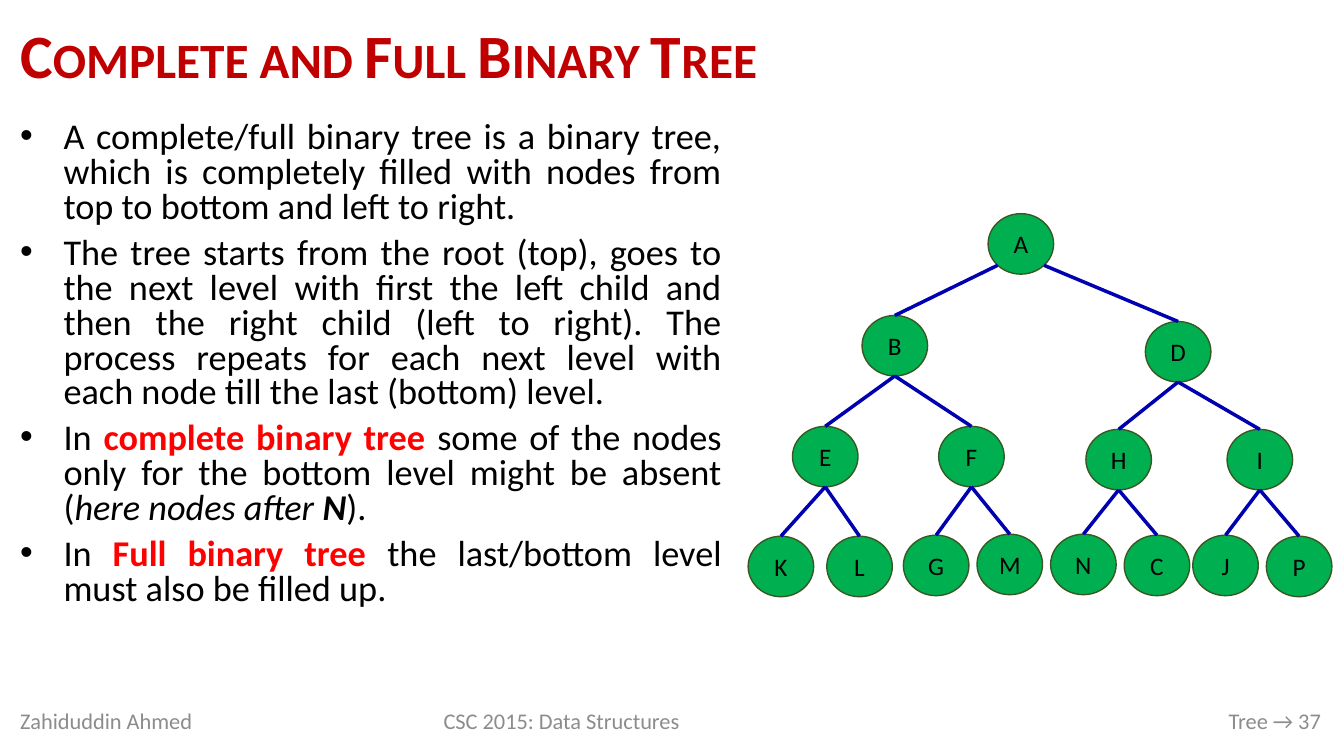
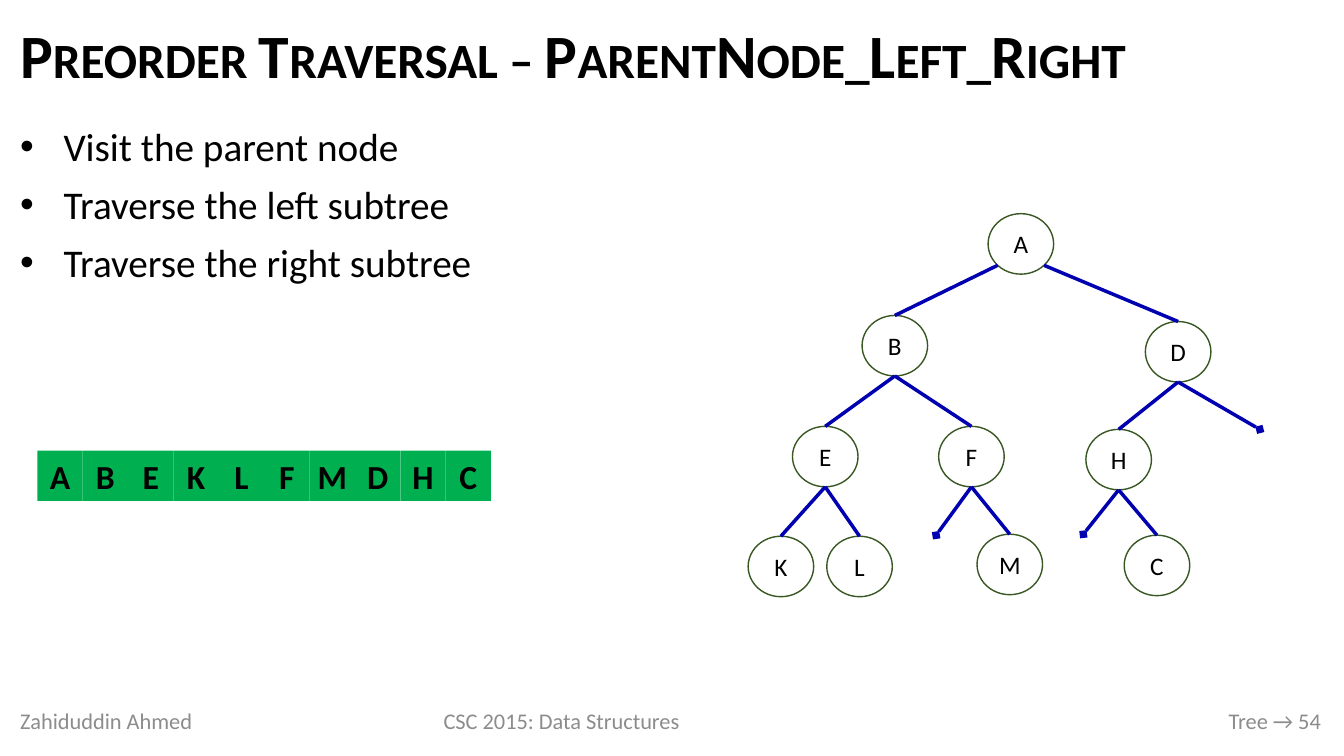
from math import sqrt

from lxml.etree import SubElement
from pptx import Presentation
from pptx.dml.color import RGBColor
from pptx.enum.shapes import MSO_CONNECTOR as Connector, MSO_SHAPE as Shape
from pptx.enum.text import MSO_ANCHOR as Anchor, MSO_AUTO_SIZE as AutoSize, PP_ALIGN as Align
from pptx.oxml.ns import qn
from pptx.util import Inches, Pt

BLACK = RGBColor(0x00, 0x00, 0x00)
CRIMSON = RGBColor(0xC0, 0x00, 0x00)
RED = RGBColor(0xFF, 0x00, 0x00)
GREEN = RGBColor(0x00, 0xB0, 0x50)
DARK_GREEN = RGBColor(0x38, 0x57, 0x23)
NAVY = RGBColor(0x00, 0x00, 0xB0)
GRAY = RGBColor(0x8C, 0x8C, 0x8C)

FONT = "Calibri"
NODE_W, NODE_H = 0.65, 0.6
CELL_W, CELL_H = 0.45, 0.5

NODES = {
    "A": (9.8, 2.12),
    "B": (8.55, 3.13), "D": (11.36, 3.19),
    "E": (7.86, 4.23), "F": (9.31, 4.23), "H": (10.77, 4.26), "I": (12.17, 4.26),
    "K": (7.42, 5.32), "L": (8.2, 5.32), "G": (8.96, 5.31), "M": (9.69, 5.3),
    "N": (10.42, 5.3), "C": (11.15, 5.31), "J": (11.83, 5.31), "P": (12.56, 5.32),
}
CHILDREN = {"A": "BD", "B": "EF", "D": "HI", "E": "KL", "F": "GM", "H": "NC", "I": "JP"}

KEY_TERM = {"color": RED, "bold": True}
COMPLETE_POINTS = [
    [("A complete/full binary tree is a binary tree, which is completely filled "
      "with nodes from top to bottom and left to right.", {})],
    [("The tree starts from the root (top), goes to the next level with first the "
      "left child and then the right child (left to right). The process repeats for "
      "each next level with each node till the last (bottom) level.", {})],
    [("In ", {}), ("complete binary tree ", KEY_TERM),
     ("some of the nodes only for the bottom level might be absent (", {}),
     ("here nodes after ", {"italic": True}), ("N", {"italic": True, "bold": True}),
     (").", {})],
    [("In ", {}), ("Full binary tree ", KEY_TERM),
     ("the last/bottom level must also be filled up.", {})],
]
PREORDER_STEPS = [
    [(step, {})] for step in
    ("Visit the parent node", "Traverse the left subtree", "Traverse the right subtree")
]


def write(paragraph, text, size=18, color=BLACK, bold=False, italic=False,
          small_caps=False, align=None):
    """Add one formatted run of text to a paragraph."""
    if align is not None:
        paragraph.alignment = align
    run = paragraph.add_run()
    run.text = text
    font = run.font
    font.name, font.size, font.bold, font.italic = FONT, Pt(size), bold, italic
    font.color.rgb = color
    if small_caps:
        run._r.get_or_add_rPr().set("cap", "small")


class Deck:
    """Hold the shared style and the current slide."""

    def __init__(self):
        """Start a widescreen presentation."""
        self.presentation = Presentation()
        self.presentation.slide_width = Inches(13.33)
        self.presentation.slide_height = Inches(7.5)
        self.slide = None

    def place(self, shape, left, top, width, height):
        """Move a shape and return its text frame."""
        shape.left, shape.top = Inches(left), Inches(top)
        shape.width, shape.height = Inches(width), Inches(height)
        frame = shape.text_frame
        frame.word_wrap, frame.auto_size = True, AutoSize.NONE
        return frame

    def new_slide(self, title, number, color=BLACK):
        """Add a slide with its title and footer."""
        self.slide = self.presentation.slides.add_slide(self.presentation.slide_layouts[1])
        frame = self.place(self.slide.shapes.title, 0.1, 0.11, 13.1, 0.95)
        frame.vertical_anchor = Anchor.MIDDLE
        heading = frame.paragraphs[0]
        heading.line_spacing = 0.9
        write(heading, title, size=44, color=color, bold=True, small_caps=True, align=Align.LEFT)
        self.footer("Zahiduddin Ahmed", 0.1, 2.41, Align.LEFT)
        self.footer("CSC 2015: Data Structures", 3.89, 3.36, Align.CENTER)
        self.footer(f"Tree → {number}", 7.71, 5.49, Align.RIGHT)

    def footer(self, text, left, width, align):
        """Add one part of the footer."""
        box = self.slide.shapes.add_textbox(0, 0, 0, 0)
        frame = self.place(box, left, 6.95, width, 0.4)
        frame.vertical_anchor = Anchor.MIDDLE
        write(frame.paragraphs[0], text, size=16, color=GRAY, align=align)

    def bullets(self, points, width, height, size, line_spacing):
        """Fill the body placeholder with justified bullets."""
        frame = self.place(self.slide.placeholders[1], 0.1, 1.16, width, height)
        for index, runs in enumerate(points):
            point = frame.add_paragraph() if index else frame.paragraphs[0]
            point.line_spacing = line_spacing
            point.space_before, point.space_after = Pt(4 if index else 0), Pt(4)
            properties = point._p.get_or_add_pPr()
            properties.set("marL", str(Inches(0.43)))
            properties.set("indent", str(-Inches(0.43)))
            bullet_color = SubElement(properties, qn("a:buClr"))
            SubElement(bullet_color, qn("a:srgbClr"), val=str(BLACK))
            SubElement(properties, qn("a:buFont"), typeface="Arial")
            SubElement(properties, qn("a:buChar"), char="•")
            for text, style in runs:
                write(point, text, size=size, align=Align.JUSTIFY, **style)

    def labelled(self, kind, label, left, top, width, height, fill=None, line=None, **style):
        """Add a preset shape with a centred label."""
        shape = self.slide.shapes.add_shape(kind, 0, 0, 0, 0)
        frame = self.place(shape, left, top, width, height)
        shape.shadow.inherit = False
        if fill is None:
            shape.fill.background()
        else:
            shape.fill.solid()
            shape.fill.fore_color.rgb = fill
        if line is None:
            shape.line.fill.background()
        else:
            shape.line.color.rgb, shape.line.width = line, Pt(1)
        frame.margin_left = frame.margin_right = frame.margin_top = frame.margin_bottom = 0
        frame.vertical_anchor = Anchor.MIDDLE
        write(frame.paragraphs[0], label, align=Align.CENTER, **style)
        return shape

    def edge(self, start, end, child=None):
        """Draw a branch to a child, or to a diamond where it is absent."""
        branch = self.slide.shapes.add_connector(
            Connector.STRAIGHT, *(Inches(length) for length in start + end))
        if child is not None:
            branch.end_connect(child, 0)
        branch.line.color.rgb, branch.line.width = NAVY, Pt(2.5)
        if child is None:
            SubElement(branch.line._get_or_add_ln(), qn("a:tailEnd"), type="diamond")
        SubElement(branch._element.spPr, qn("a:effectLst"))

    def tree(self, fill=None, absent=""):
        """Draw the binary tree without its absent nodes."""
        present = {
            label: self.labelled(Shape.OVAL, label, *corner, NODE_W, NODE_H,
                                 fill=fill, line=DARK_GREEN)
            for label, corner in NODES.items() if label not in absent
        }
        for parent, children in CHILDREN.items():
            if parent not in present:
                continue
            left, top = NODES[parent]
            for side, child in zip((-1, 1), children):
                start = (left + NODE_W / 2, top + NODE_H)
                if parent == "A":
                    start = (left + NODE_W / 2 * (1 + side / sqrt(2)),
                             top + NODE_H / 2 * (1 + 1 / sqrt(2)))
                child_left, child_top = NODES[child]
                self.edge(start, (child_left + NODE_W / 2, child_top), present.get(child))

    def visit_order(self, labels):
        """Draw the visited nodes as a row of cells."""
        for index, label in enumerate(labels):
            self.labelled(Shape.RECTANGLE, label, 0.37 + index * CELL_W, 4.47,
                          CELL_W, CELL_H, fill=GREEN, size=24, bold=True)


def main():
    """Build and save the two slides."""
    deck = Deck()
    deck.new_slide("Complete and Full Binary Tree", 37, color=CRIMSON)
    deck.bullets(COMPLETE_POINTS, 7.16, 5.43, size=25.9, line_spacing=0.8)
    deck.tree(fill=GREEN)

    deck.new_slide("Preorder Traversal – ParentNode_Left_Right", 54)
    deck.bullets(PREORDER_STEPS, 4.88, 2.02, size=28, line_spacing=1.0)
    deck.tree(absent="IGNJP")
    deck.visit_order("ABEKLFMDHC")
    deck.presentation.save("out.pptx")


if __name__ == "__main__":
    main()
